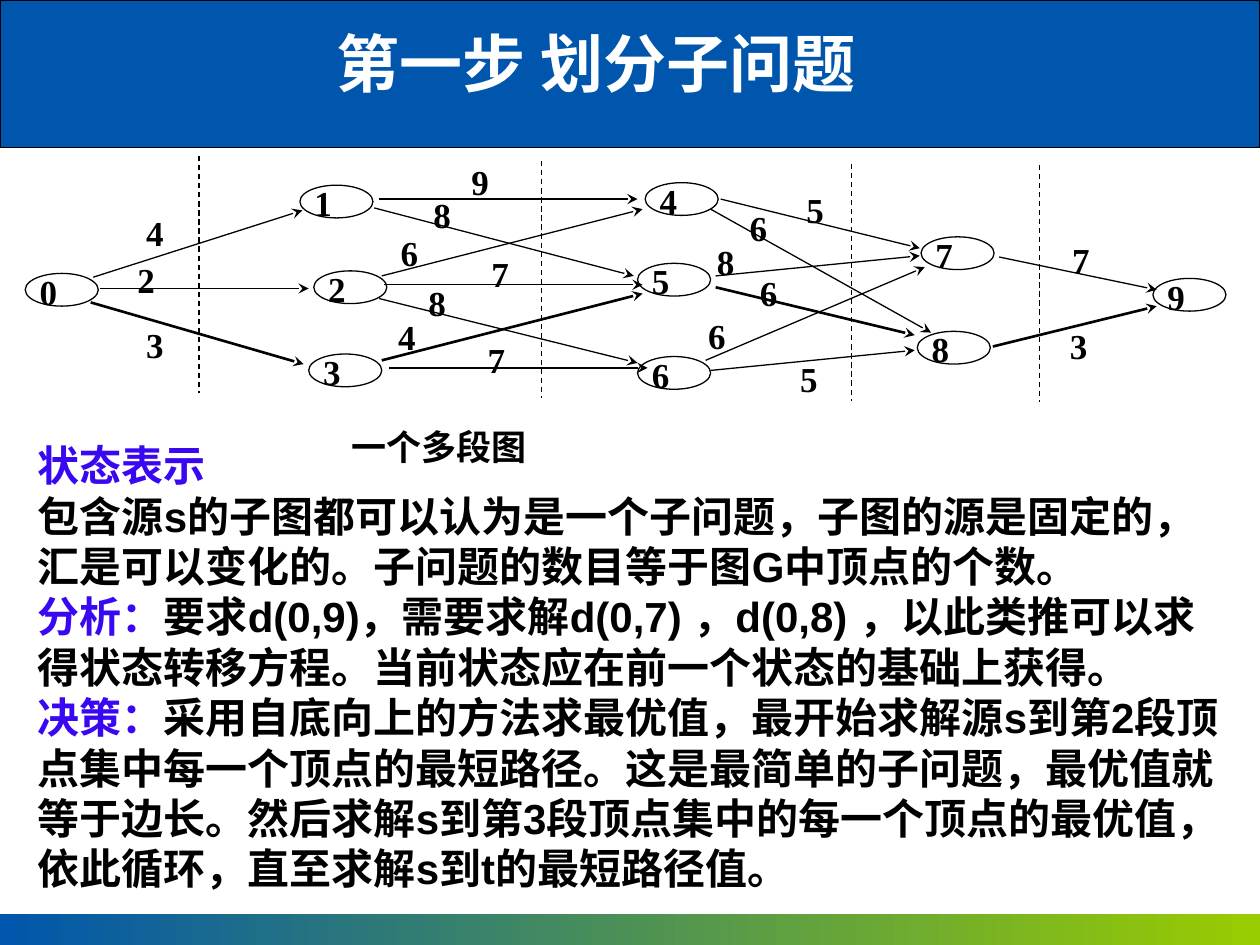
from lxml import etree
from pptx import Presentation
from pptx.dml.color import RGBColor
from pptx.enum.dml import MSO_LINE
from pptx.enum.shapes import MSO_CONNECTOR, MSO_SHAPE
from pptx.enum.text import MSO_ANCHOR, MSO_AUTO_SIZE, PP_ALIGN
from pptx.oxml.ns import qn
from pptx.util import Inches, Pt

DASH = MSO_LINE.DASH
STRAIGHT = MSO_CONNECTOR.STRAIGHT
RECT, OVAL = MSO_SHAPE.RECTANGLE, MSO_SHAPE.OVAL
TOP, MIDDLE = MSO_ANCHOR.TOP, MSO_ANCHOR.MIDDLE
LEFT, CENTER, JUSTIFY = PP_ALIGN.LEFT, PP_ALIGN.CENTER, PP_ALIGN.JUSTIFY
NO_FIT = MSO_AUTO_SIZE.NONE

BLUE = RGBColor(0x00, 0x56, 0xAC)
GREEN = RGBColor(0x99, 0xCC, 0x00)
VIOLET = RGBColor(0x39, 0x07, 0xF1)
BLACK = RGBColor(0, 0, 0)
WHITE = RGBColor(0xFF, 0xFF, 0xFF)
SANS, SERIF, CJK = "Arial", "Times New Roman", "Noto Sans CJK SC"

NODES = [
    (0.2, 2.17), (2.38, 1.47), (2.49, 2.15), (2.45, 2.81), (5.12, 1.45),
    (5.06, 2.09), (5.06, 2.83), (7.31, 1.88), (7.28, 2.63), (9.15, 2.21),
]
THIN_EDGES = [
    (0.74, 2.2, 2.4, 1.67), (0.79, 2.29, 2.45, 2.29),
    (3.01, 1.58, 5.06, 1.58), (2.97, 1.65, 5.03, 2.19),
    (3.03, 2.19, 5.1, 1.66), (3.05, 2.26, 5.1, 2.26),
    (3.01, 2.37, 5.06, 2.88), (3.09, 2.92, 5.14, 2.92),
    (5.72, 1.58, 7.3, 1.97), (5.64, 1.66, 7.39, 2.64),
    (5.68, 2.19, 7.3, 2.03), (5.6, 2.86, 7.34, 2.12),
    (5.64, 2.94, 7.26, 2.78), (7.93, 2.04, 9.18, 2.3),
]
BOLD_EDGES = [
    (0.72, 2.4, 2.41, 2.89), (3.03, 2.86, 5.1, 2.33),
    (5.68, 2.28, 7.26, 2.66), (7.88, 2.75, 9.18, 2.43),
]
WEIGHTS = [
    ("4", 1.16, 1.74), ("2", 1.09, 2.12), ("3", 1.16, 2.63),
    ("9", 3.74, 1.34), ("8", 3.44, 1.6), ("6", 3.18, 1.9),
    ("7", 3.9, 2.07), ("8", 3.4, 2.3), ("4", 3.16, 2.57),
    ("7", 3.87, 2.75), ("5", 6.4, 1.56), ("6", 5.95, 1.7),
    ("8", 5.69, 1.97), ("6", 6.03, 2.22), ("6", 5.62, 2.56),
    ("5", 6.35, 2.9), ("7", 8.51, 1.96), ("3", 8.49, 2.64),
]
STAGES = [(1.58, 1.24), (4.3, 1.28), (6.76, 1.3), (8.25, 1.31)]
BODY = [
    [("状态表示", VIOLET)],
    [("包含源s的子图都可以认为是一个子问题，子图的源是固定的，汇是可以变化的。"
      "子问题的数目等于图G中顶点的个数。", BLACK)],
    [("分析：", VIOLET),
     ("要求d(0,9)，需要求解d(0,7) ，d(0,8) ，以此类推可以求得状态转移方程。"
      "当前状态应在前一个状态的基础上获得。", BLACK)],
    [("决策：", VIOLET),
     ("采用自底向上的方法求最优值，最开始求解源s到第2段顶点集中每一个顶点的最短路径。"
      "这是最简单的子问题，最优值就等于边长。然后求解s到第3段顶点集中的每一个顶点的"
      "最优值，依此循环，直至求解s到t的最短路径值。", BLACK)],
]


def add_run(p, text, size=20, font=SERIF, color=BLACK):
    r = p.add_run()
    r.text = text
    r.font.size, r.font.bold, r.font.name = Pt(size), True, font
    r.font.color.rgb = color
    ea = etree.SubElement(r.font._element, qn("a:ea"))
    ea.set("typeface", CJK)


class SlideBuilder:
    def __init__(self, slide):
        self.slide = slide
        self.shapes = slide.shapes

    def place(self, sp, x, y, w, h):
        sp.left, sp.top = Inches(x), Inches(y)
        sp.width, sp.height = Inches(w), Inches(h)

    def frame(self, sp, anchor=TOP):
        tf = sp.text_frame
        tf.word_wrap, tf.auto_size = True, NO_FIT
        tf.vertical_anchor = anchor
        return tf

    def band(self, y, h, order):
        sp = self.shapes.add_shape(RECT, 0, Inches(y), Inches(10), Inches(h))
        sp.shadow.inherit = False
        self.shapes._spTree.insert(2 + order, sp._element)
        return sp

    def header(self):
        sp = self.band(0, 1.17, 0)
        sp.fill.solid()
        sp.fill.fore_color.rgb = BLUE
        sp.line.color.rgb, sp.line.width = BLACK, Pt(0.75)

    def footer(self):
        sp = self.band(7.25, 0.25, 1)
        sp.line.fill.background()
        sp.fill.gradient()
        sp.fill.gradient_angle = 0
        for stop, color, position in zip(sp.fill.gradient_stops, (BLUE, GREEN), (0, 1)):
            stop.color.rgb, stop.position = color, position

    def title(self, text):
        sp = self.shapes.title
        self.place(sp, 1.48, 0.21, 6.5, 0.64)
        p = self.frame(sp, MIDDLE).paragraphs[0]
        p.alignment, p.line_spacing = CENTER, 0.9
        add_run(p, text, size=36, font=CJK, color=WHITE)

    def body(self, paragraphs):
        sp = self.slide.placeholders[1]
        self.place(sp, 0.2, 3.44, 9.69, 3.74)
        tf = self.frame(sp)
        for i, runs in enumerate(paragraphs):
            p = tf.add_paragraph() if i else tf.paragraphs[0]
            pPr = p._p.get_or_add_pPr()
            pPr.set("marL", "0")
            pPr.set("indent", "0")
            etree.SubElement(pPr, qn("a:buNone"))
            p.alignment, p.space_before = LEFT, Pt(0)
            for text, color in runs:
                add_run(p, text, size=24, font=SANS, color=color)

    def small_text(self, sp, text, inset=0):
        tf = self.frame(sp)
        tf.margin_left = Inches(inset)
        tf.margin_top = tf.margin_right = tf.margin_bottom = 0
        p = tf.paragraphs[0]
        p.alignment, p.line_spacing = JUSTIFY, 0.8
        add_run(p, text)

    def label(self, text, x, y, w=0.32, h=0.17):
        sp = self.shapes.add_textbox(Inches(x), Inches(y), Inches(w), Inches(h))
        self.small_text(sp, text)

    def node(self, text, x, y):
        sp = self.shapes.add_shape(OVAL, Inches(x), Inches(y), Inches(0.58), Inches(0.26))
        sp.shadow.inherit = False
        sp.fill.background()
        sp.line.color.rgb, sp.line.width = BLACK, Pt(0.75)
        self.small_text(sp, text, inset=0.03)

    def line(self, x1, y1, x2, y2, width=0.75, dash=None, arrow=False):
        sp = self.shapes.add_connector(STRAIGHT, Inches(x1), Inches(y1), Inches(x2), Inches(y2))
        sp.line.color.rgb, sp.line.width = BLACK, Pt(width)
        if dash:
            sp.line.dash_style = dash
        if arrow:
            tail = etree.SubElement(sp.line._get_or_add_ln(), qn("a:tailEnd"))
            tail.set("type", "stealth")
        etree.SubElement(sp._element.spPr, qn("a:effectLst"))


def main():
    prs = Presentation()
    prs.slide_width, prs.slide_height = Inches(10), Inches(7.5)
    s = SlideBuilder(prs.slides.add_slide(prs.slide_layouts[1]))
    s.header()
    s.footer()
    s.title("第一步 划分子问题")
    s.body(BODY)
    for i, (x, y) in enumerate(NODES):
        s.node(str(i), x, y)
    for edge in THIN_EDGES:
        s.line(*edge, arrow=True)
    for edge in BOLD_EDGES:
        s.line(*edge, width=1.5, arrow=True)
    for x, y in STAGES:
        s.line(x, y, x, y + 1.88, dash=DASH)
    for weight in WEIGHTS:
        s.label(*weight)
    s.label("一个多段图", 2.79, 3.44, w=4.45, h=0.2)
    prs.save("out.pptx")


if __name__ == "__main__":
    main()
